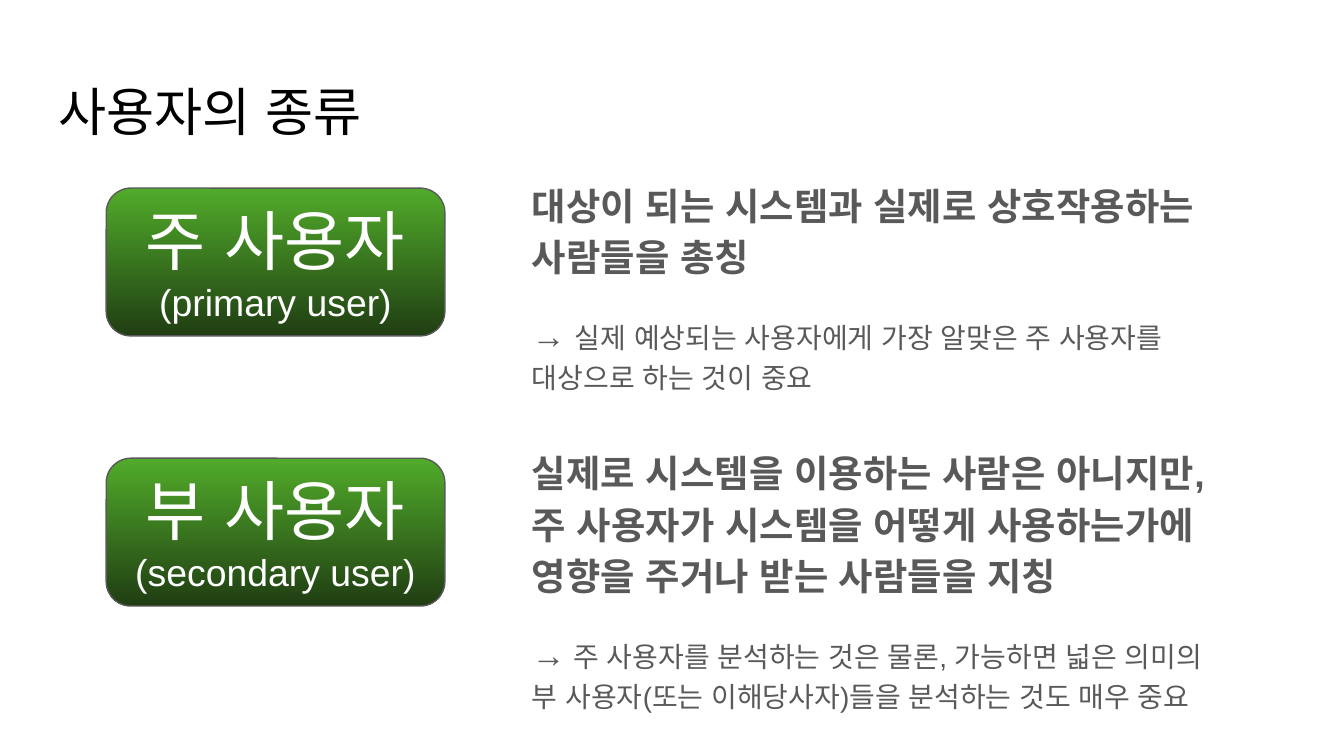
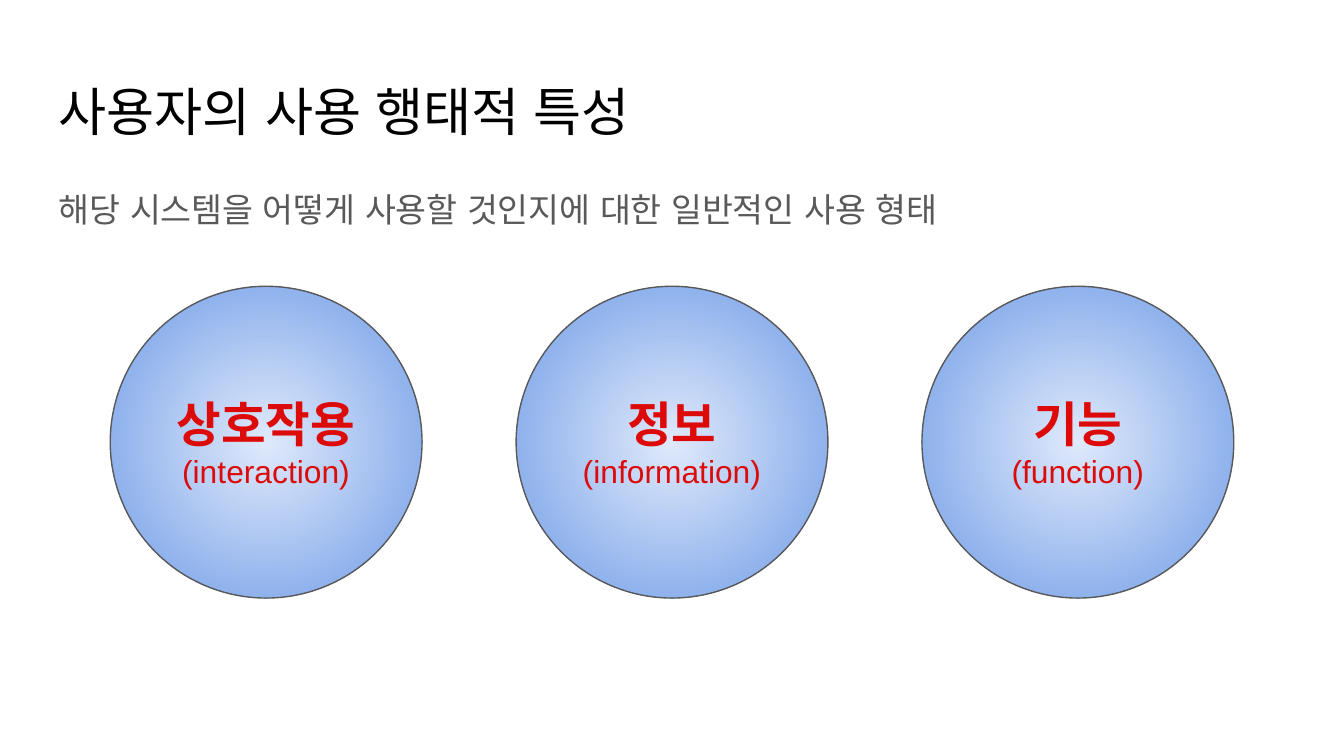
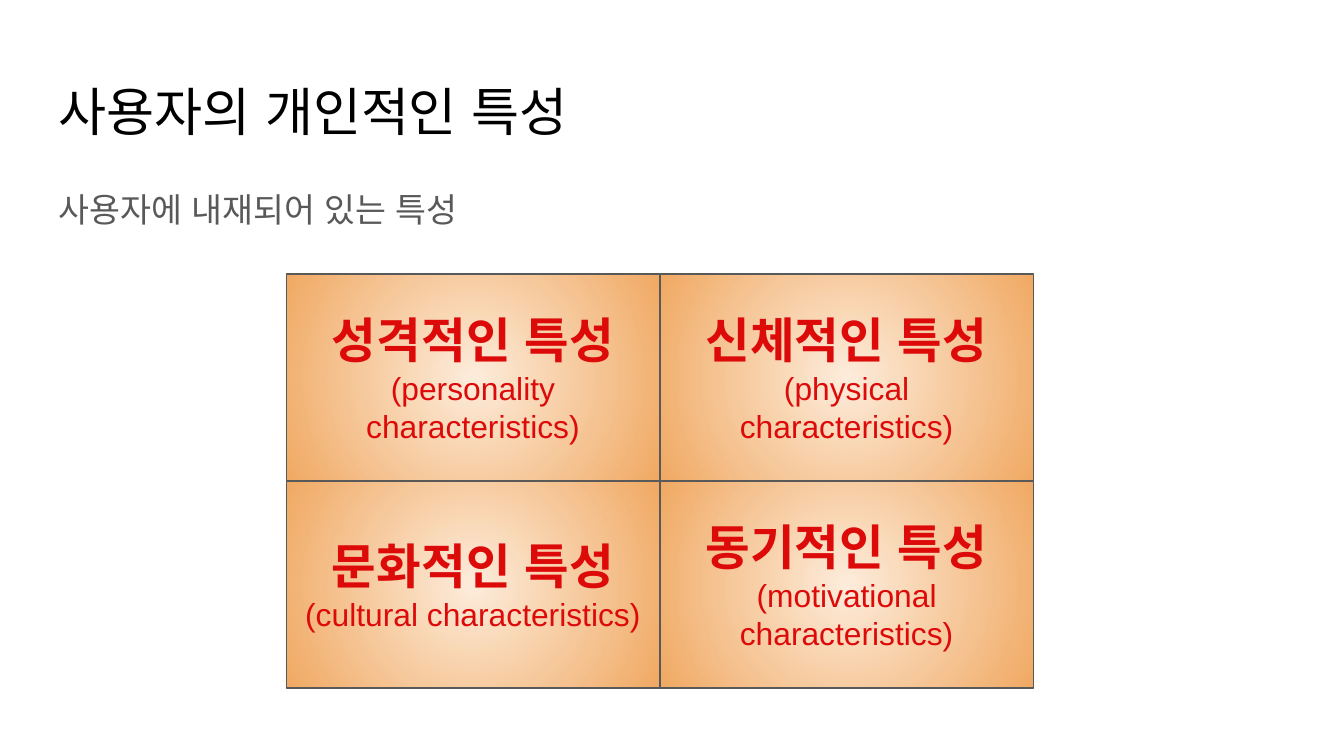
from lxml import etree
from pptx import Presentation
from pptx.dml.color import RGBColor
from pptx.enum.shapes import MSO_SHAPE as Shape
from pptx.enum.text import MSO_ANCHOR as Anchor, PP_ALIGN as Align
from pptx.oxml.ns import qn
from pptx.util import Inches, Pt

# Content
USER_TITLE = "사용자의 종류"
USERS = [  # badge top, text top, text height, name, English name, definition, note spans
    (1.4, 1.21, 1.76, "주 사용자", "(primary user)",
     "대상이 되는 시스템과 실제로 상호작용하는 사람들을 총칭",
     [("→ ", 18), ("실제 예상되는 사용자에게 가장 알맞은 주 사용자를 대상으로 하는 것이 중요", 15)]),
    (3.41, 3.2, 2.22, "부 사용자", "(secondary user)",
     "실제로 시스템을 이용하는 사람은 아니지만, 주 사용자가 시스템을 어떻게 "
     "사용하는가에 영향을 주거나 받는 사람들을 지칭",
     [("→", 18), (" 주 사용자를 분석하는 것은 물론, 가능하면 넓은 의미의 "
                  "부 사용자(또는 이해당사자)들을 분석하는 것도 매우 중요", 15)]),
]
BEHAVIOUR_TITLE = "사용자의 사용 행태적 특성"
BEHAVIOUR_LEAD = "해당 시스템을 어떻게 사용할 것인지에 대한 일반적인 사용 형태"
BEHAVIOURS = [("상호작용", "(interaction)"), ("정보", "(information)"), ("기능", "(function)")]
TRAIT_TITLE = "사용자의 개인적인 특성"
TRAIT_LEAD = "사용자에 내재되어 있는 특성"
TRAITS = [
    ("성격적인 특성", "(personality characteristics)"),
    ("신체적인 특성", "(physical characteristics)"),
    ("문화적인 특성", "(cultural characteristics)"),
    ("동기적인 특성", "(motivational characteristics)"),
]

# Shared style
FONT = "Arial"
COLORS = {"page": "FFFFFF", "title": "000000", "body": "595959", "line": "595959",
          "badge": "FFFFFF", "accent": "DD0A0A"}
GRADIENTS = {"green": ("51AB2A", "203E13"), "blue": ("DFE9FB", "6E9BE7"),
             "orange": ("FDECDB", "F0A963")}
LEFT, WIDTH = 0.34, 9.32


def color(name):
    return RGBColor.from_string(COLORS[name])


def write(frame, paragraphs, ink, align=Align.LEFT, anchor=Anchor.TOP,
          line=None, before=(), after=()):
    """Each paragraph is a list of (text, size, bold); before and after give its spacing."""
    frame.word_wrap = True
    frame.vertical_anchor = anchor
    frame.margin_left = frame.margin_right = Inches(0.1)
    frame.margin_top = frame.margin_bottom = Inches(0.1)
    for index, spans in enumerate(paragraphs):
        para = frame.add_paragraph() if index else frame.paragraphs[0]
        para.alignment = align
        para.line_spacing = line
        para.space_before = Pt(before[index] if before else 0)
        para.space_after = Pt(after[index] if after else 0)
        for text, size, bold in spans:
            span = para.add_run()
            span.text = text
            span.font.size, span.font.bold, span.font.name = Pt(size), bold, FONT
            span.font.color.rgb = color(ink)
            # Korean text takes the East Asian typeface, arrows keep the default one
            if not text.startswith("→"):
                etree.SubElement(span.font._element, qn("a:ea"), typeface=FONT)


def add_text(page, place, paragraphs, ink, **form):
    box = page.shapes.add_textbox(*map(Inches, place))
    write(box.text_frame, paragraphs, ink, **form)


def add_label(page, kind, place, gradient, names, sizes, ink, bold, radial=True):
    box = page.shapes.add_shape(kind, *map(Inches, place))
    box.shadow.inherit = False
    box.line.color.rgb = color("line")
    box.line.width = Pt(0.75)
    box.fill.gradient()
    box.fill.gradient_angle = 270
    for stop, shade in zip(box.fill.gradient_stops, GRADIENTS[gradient]):
        stop.color.rgb = RGBColor.from_string(shade)
    if radial:
        # Swap the linear direction for a circle spreading from the centre
        linear = box.element.spPr.find(qn("a:gradFill")).find(qn("a:lin"))
        circle = etree.Element(qn("a:path"), path="circle")
        etree.SubElement(circle, qn("a:fillToRect"), l="50000", t="50000", r="50000", b="50000")
        linear.getparent().replace(linear, circle)
    korean, english = names
    write(box.text_frame, [[(korean, sizes[0], bold)], [(english, sizes[1], False)]], ink,
          align=Align.CENTER, anchor=Anchor.MIDDLE)


def add_page(deck, title, lead=None):
    page = deck.slides.add_slide(deck.slide_layouts[6])
    page.background.fill.solid()
    page.background.fill.fore_color.rgb = color("page")
    add_text(page, (LEFT, 0.49, WIDTH, 0.63), [[(title, 28, False)]], "title")
    if lead:
        add_text(page, (LEFT, 1.26, WIDTH, 0.54), [[(lead, 18, False)]], "body",
                 line=1.15, after=(16,))
    return page


def build_users(deck):
    page = add_page(deck, USER_TITLE)
    for badge_top, text_top, height, korean, english, definition, note in USERS:
        add_label(page, Shape.ROUNDED_RECTANGLE, (0.79, badge_top, 2.52, 1.1), "green",
                  (korean, english), (35, 20), "badge", bold=False, radial=False)
        note_spans = [(text, size, False) for text, size in note]
        add_text(page, (3.86, text_top, 5.38, height), [[(definition, 20, True)], note_spans],
                 "body", line=1.15, before=(0, 16), after=(0, 16))


def build_behaviours(deck):
    page = add_page(deck, BEHAVIOUR_TITLE, BEHAVIOUR_LEAD)
    left, top, size, step = 0.82, 2.13, 2.32, 3.02
    for column, names in enumerate(BEHAVIOURS):
        add_label(page, Shape.OVAL, (left + column * step, top, size, size), "blue",
                  names, (26, 17), "accent", bold=True)


def build_traits(deck):
    page = add_page(deck, TRAIT_TITLE, TRAIT_LEAD)
    left, top, width, height = 2.13, 2.04, 2.78, 1.54
    for index, names in enumerate(TRAITS):
        row, column = divmod(index, 2)
        place = (left + column * width, top + row * height, width, height)
        add_label(page, Shape.RECTANGLE, place, "orange", names, (26, 17), "accent", bold=True)


def main():
    deck = Presentation()
    # Widescreen, 16 by 9
    deck.slide_width, deck.slide_height = Inches(10), Inches(10 * 9 / 16)
    build_users(deck)
    build_behaviours(deck)
    build_traits(deck)
    deck.save("out.pptx")


if __name__ == "__main__":
    main()
